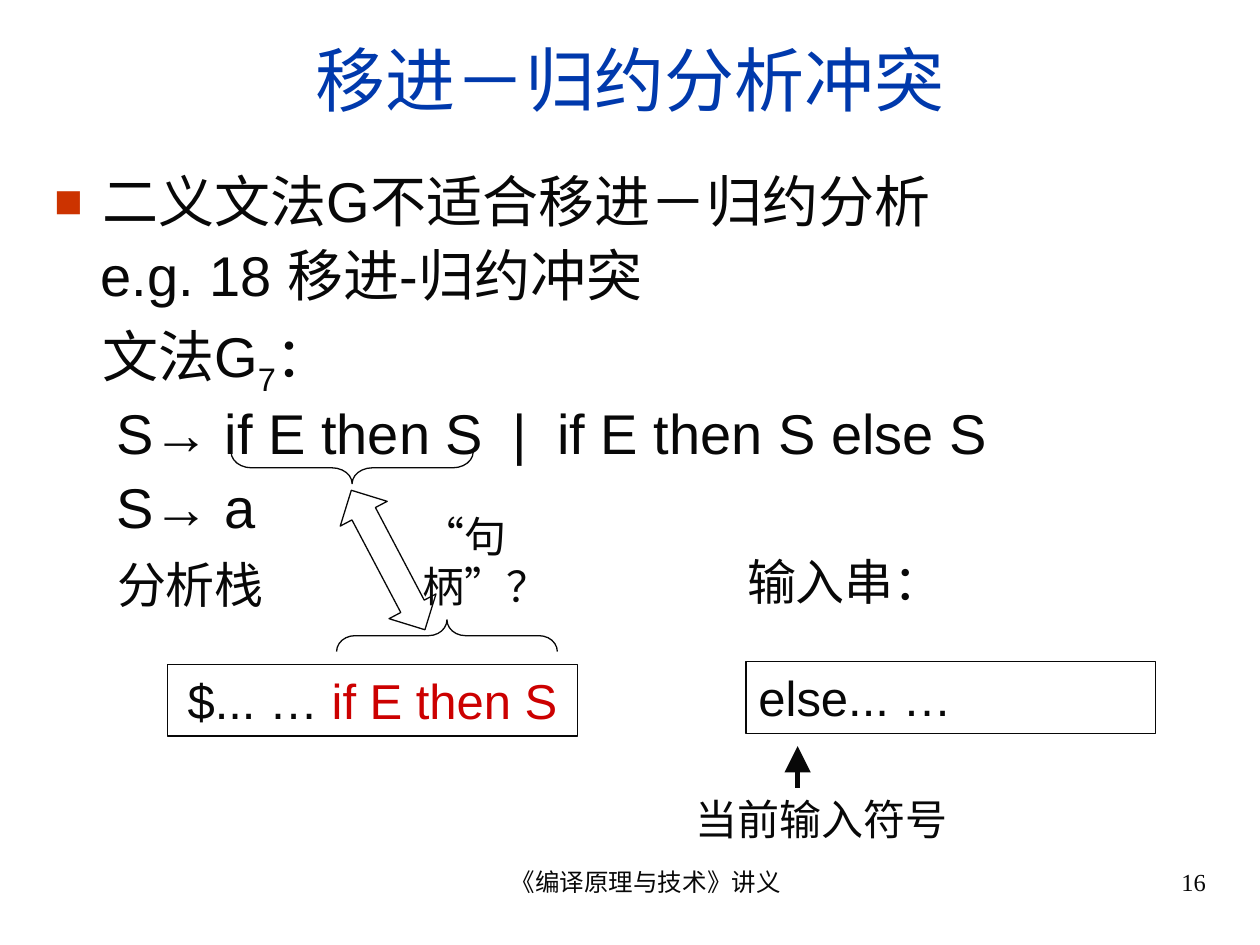
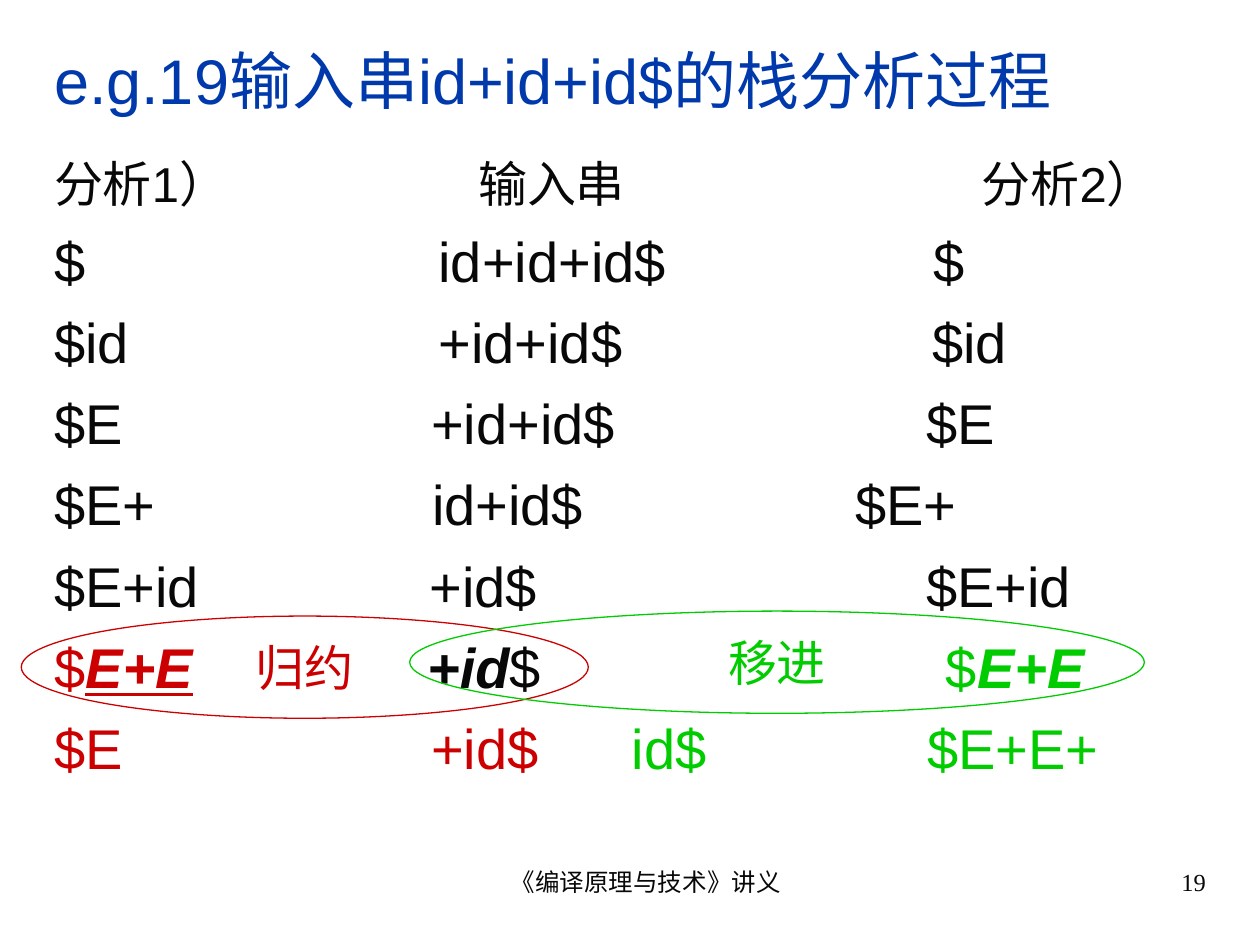
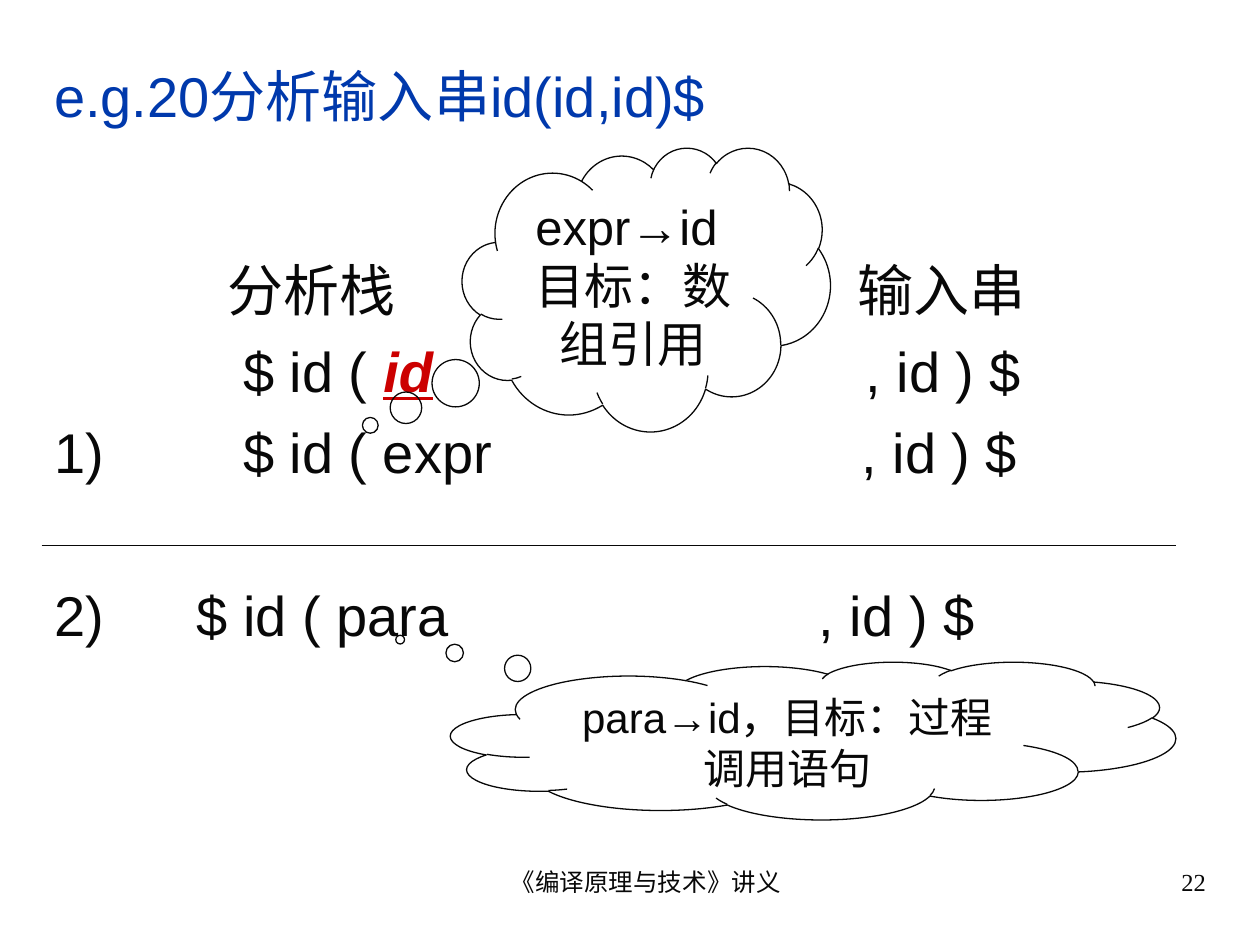
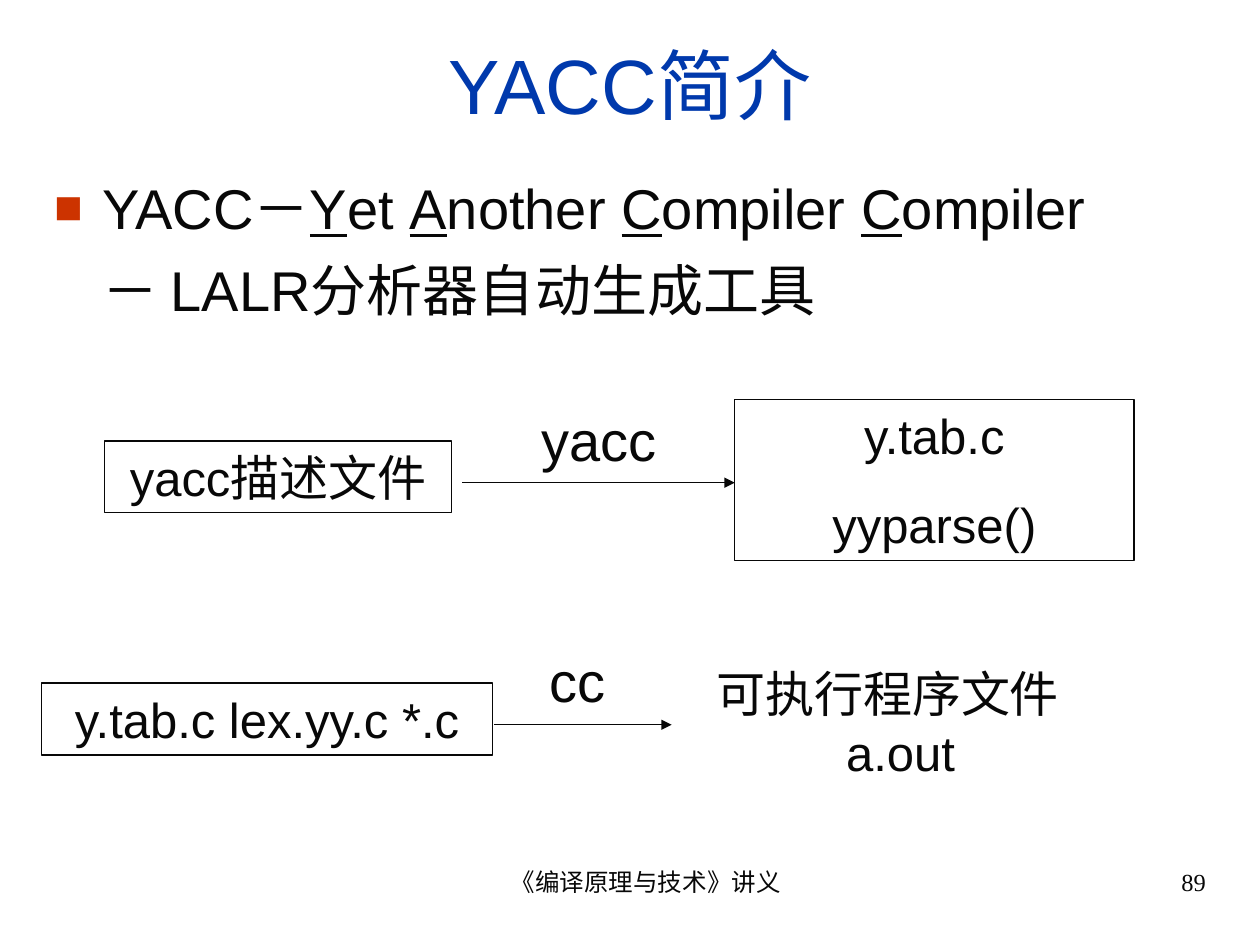
import dataclasses

import lxml.etree
import pptx
import pptx.dml.color
import pptx.enum.shapes
import pptx.enum.text
import pptx.oxml.ns
import pptx.util

Cm = pptx.util.Cm
Pt = pptx.util.Pt
SHAPE = pptx.enum.shapes.MSO_SHAPE
ALIGN = pptx.enum.text.PP_ALIGN
ANCHOR = pptx.enum.text.MSO_ANCHOR
qn = pptx.oxml.ns.qn


@dataclasses.dataclass(frozen=True)
class Theme:
    title: str = "0039AC"
    ink: str = "080808"
    red: str = "CC0000"
    green: str = "00CC00"
    bullet: str = "CC3300"
    font: str = "Arial"
    footer_font: str = "Times New Roman"
    body: int = 32
    label: int = 28
    note: int = 24
    footer: int = 14
    thin: float = 0.75
    thick: float = 3
    left: float = 0.84
    width: float = 23.72
    hang: float = 0.97
    row_gap: float = 8


THEME = Theme()


@dataclasses.dataclass
class Span:
    text: str
    color: str = ""
    strong: bool = False
    underline: bool = False
    subscript: bool = False


@dataclasses.dataclass
class Line:
    """One paragraph; margin, first and tabs are in centimetres, before in points."""
    content: object
    size: float = THEME.body
    color: str = THEME.ink
    align: object = ALIGN.LEFT
    margin: float = 0
    first: float = 0
    tabs: tuple = ()
    bullet: bool = False
    before: float = THEME.row_gap
    spacing: float = 1.0
    font: str = THEME.font


def rgb(value):
    return pptx.dml.color.RGBColor.from_string(value)


def add_child(parent, tag, **attributes):
    return lxml.etree.SubElement(parent, qn(tag), attributes)


def add_bullet(props):
    add_child(add_child(props, "a:buClr"), "a:srgbClr", val=THEME.bullet)
    add_child(props, "a:buSzPct", val="85000")
    add_child(props, "a:buFont", typeface=THEME.font)
    add_child(props, "a:buChar", char="■")


def add_tabs(props, stops):
    tab_list = add_child(props, "a:tabLst")
    for stop in stops:
        add_child(tab_list, "a:tab", pos=str(int(Cm(stop))), algn="l")


def add_span(para, part):
    span = para.add_run()
    span.text = part.text
    if part.color:
        span.font.color.rgb = rgb(part.color)
    if part.strong:
        span.font.bold = span.font.italic = True
    if part.underline:
        span.font.underline = True
    if part.subscript:
        span._r.get_or_add_rPr().set("baseline", "-25000")


def fill_paragraph(para, line):
    props = para._p.get_or_add_pPr()
    # LibreOffice drops tab stops when an indent is written beside them.
    for name, length in (("marL", line.margin), ("indent", line.first)):
        if length:
            props.set(name, str(int(Cm(length))))
    if line.bullet:
        add_bullet(props)
    if line.tabs:
        add_tabs(props, line.tabs)
    para.alignment = line.align
    para.line_spacing = line.spacing
    para.font.name = line.font
    para.font.size = Pt(line.size)
    para.font.color.rgb = rgb(line.color)
    parts = [line.content] if isinstance(line.content, str) else line.content
    for part in parts:
        if part == "\n":
            para.add_line_break()
        else:
            add_span(para, Span(part) if isinstance(part, str) else part)


def write(box, lines, anchor=ANCHOR.TOP):
    frame = box.text_frame
    frame.word_wrap = True
    frame.vertical_anchor = anchor
    for index, line in enumerate(lines):
        para = frame.add_paragraph() if index else frame.paragraphs[0]
        fill_paragraph(para, line)
        if index:
            para.space_before = Pt(line.before)


def add_text(page, place, *lines, anchor=ANCHOR.TOP):
    write(page.shapes.add_textbox(*map(Cm, place)), lines, anchor)


def add_outline(page, kind, place, *lines, color=THEME.ink, anchor=ANCHOR.TOP,
                adjust=(), rotation=0):
    """Unfilled preset shape, with text when lines are given."""
    shape = page.shapes.add_shape(kind, *map(Cm, place))
    shape.shadow.inherit = False
    shape.fill.background()
    shape.line.color.rgb = rgb(color)
    shape.line.width = Pt(THEME.thin)
    shape.rotation = rotation
    for index, value in enumerate(adjust):
        shape.adjustments[index] = value
    if lines:
        write(shape, lines, anchor)


def add_line(page, start, end, width=THEME.thin, head="med"):
    """Straight line; head is the arrowhead size, or empty for none."""
    line = page.shapes.add_connector(
        pptx.enum.shapes.MSO_CONNECTOR.STRAIGHT, *map(Cm, start + end))
    line.line.color.rgb = rgb(THEME.ink)
    line.line.width = Pt(width)
    if head:
        add_child(line.line._get_or_add_ln(), "a:tailEnd", type="triangle", w=head, len=head)
    add_child(line._element.spPr, "a:effectLst")


def label(text, size=THEME.label, **options):
    return Line(text, size=size, **options)


def centred(text, size=THEME.label, **options):
    return Line(text, size=size, align=ALIGN.CENTER, **options)


def add_page(deck, title, number, size, top=0.64, height=1.9, align=ALIGN.LEFT):
    """Blank page with the shared title style, footer and page number."""
    page = deck.slides.add_slide(deck.slide_layouts[6])
    add_text(page, (THEME.left, top, THEME.width, height),
             Line(title, size=size, color=THEME.title, align=align), anchor=ANCHOR.MIDDLE)
    footers = (("《编译原理与技术》讲义", 8.69, 8.05, ALIGN.CENTER),
               (str(number), 18.21, 6.35, ALIGN.RIGHT))
    for text, left, width, side in footers:
        add_text(page, (left, 17.35, width, 1.32),
                 Line(text, size=THEME.footer, font=THEME.footer_font, align=side, margin=0.61))
    return page


def add_body(page, top, height, *lines):
    add_text(page, (THEME.left, top, THEME.width, height), *lines)


def bullet_line(content, **options):
    return Line(content, margin=THEME.hang, first=-THEME.hang, bullet=True, **options)


def build_conflict(deck):
    page = add_page(deck, "移进－归约分析冲突", 16, 40, align=ALIGN.CENTER)
    tight = {"spacing": 0.9}
    add_body(page, 3.38, 8.05,
             bullet_line("二义文法G不适合移进－归约分析", **tight),
             Line("e.g. 18 移进-归约冲突", margin=0.94, **tight),
             Line(["文法G", Span("7", subscript=True), "："], margin=THEME.hang, **tight),
             Line("\tS→ if E then S\t|\tif E then S else S", tabs=(1.25, 9.25, 10.15), **tight),
             Line("S→ a", margin=1.25, **tight))
    add_outline(page, SHAPE.RECTANGLE, (3.38, 13.39, 8.26, 1.45),
                centred(["$... … ", Span("if E then S", THEME.red)]))
    add_outline(page, SHAPE.RECTANGLE, (15.04, 13.34, 8.26, 1.45), label("else... …"))
    add_outline(page, SHAPE.LEFT_BRACE, (8.69, 10.59, 0.64, 4.45),
                adjust=(0.58, 0.5), rotation=90)
    add_outline(page, SHAPE.LEFT_BRACE, (6.78, 6.99, 0.64, 4.88),
                adjust=(0.64, 0.5), rotation=270)
    add_text(page, (8.26, 10.16, 4.01, 1.27), label(["“句", "\n", "柄”？"], THEME.note))
    add_text(page, (2.11, 11.05, 6.55, 1.45), label("分析栈"))
    add_text(page, (14.81, 11, 6.55, 1.45), label("输入串："))
    add_line(page, (16.08, 15.88), (16.08, 15.04), THEME.thick, head="lg")
    add_text(page, (13.77, 15.88, 6.15, 1.27), label("当前输入符号", THEME.note))
    add_outline(page, SHAPE.UP_DOWN_ARROW, (7.29, 9.7, 1.07, 3.18),
                adjust=(0.5, 0.6)[::-1], rotation=332.2)


def build_stack_trace(deck):
    page = add_page(deck, "e.g.19输入串id+id+id$的栈分析过程", 19, 36)
    red, green = THEME.red, THEME.green
    steps = (
        ("$\tid+id+id$\t$", (7.75, 17.73)),
        ("$id\t+id+id$\t$id", (7.75, 17.7)),
        ("$E\t+id+id$\t$E", (7.6, 17.58)),
        ("$E+\tid+id$\t$E+", (7.62, 16.15)),
        ("$E+id\t+id$\t$E+id", (7.57, 17.58)),
        ([Span("$", red), Span("E+E", red, strong=True, underline=True), "\t",
          Span("+id", strong=True), "$\t", Span("$", green),
          Span("E+E", green, strong=True)], (7.52, 17.98)),
        ([Span("$E\t+id$\t", red), Span("id$\t$E+E+", green)], (7.6, 11.65, 17.6)),
    )
    add_body(page, 2.97, 13.97,
             label("分析1）\t输入串\t分析2）", tabs=(8.55, 18.7)),
             *(Line(content, tabs=stops) for content, stops in steps))
    for text, color, place in (("归约", red, (0.43, 12.42, 11.43, 2.06)),
                               ("移进", green, (8.26, 12.32, 14.81, 2.06))):
        add_outline(page, SHAPE.OVAL, place, centred(text, color=color),
                    color=color, anchor=ANCHOR.MIDDLE)


def build_array_or_call(deck):
    page = add_page(deck, "e.g.20分析输入串id(id,id)$", 22, 32, top=1.07, height=1.7)
    add_body(page, 5.02, 11.92,
             Line("\t分析栈\t输入串", tabs=(3.5, 16.2)),
             Line(["\t$ id ( ", Span("id", THEME.red, strong=True, underline=True),
                   "\t, id ) $"], tabs=(3.81, 16.36)),
             Line("1)\t$ id ( expr\t, id ) $", tabs=(3.81, 16.28)),
             Line("2)\t$ id ( para\t, id ) $", tabs=(2.87, 15.42), before=54.4))
    add_line(page, (THEME.left, 11), (23.7, 11), head="")
    add_outline(page, SHAPE.CLOUD_CALLOUT, (9.09, 13.34, 14.61, 3.18),
                centred("para→id，目标：过程调用语句", THEME.note), adjust=(-0.57, -0.64))
    add_outline(page, SHAPE.CLOUD_CALLOUT, (9.32, 2.97, 7.42, 5.72),
                centred(["expr→id ", "\n", "目标：数组引用"]), adjust=(-0.75, 0.48))


def build_yacc(deck):
    page = add_page(deck, "YACC简介", 89, 44, height=2.11, align=ALIGN.CENTER)
    name = ["YACC－"]
    for initial, rest in (("Y", "et "), ("A", "nother "), ("C", "ompiler "), ("C", "ompiler")):
        name += [Span(initial, underline=True), rest]
    add_body(page, 3.38, 13.56, bullet_line(name),
             Line("－ LALR分析器自动生成工具", margin=THEME.hang))
    for place, texts in (((2.11, 8.89, 6.99, 1.45), ["yacc描述文件"]),
                         ((14.81, 8.05, 8.05, 3.25), ["y.tab.c", "yyparse()"]),
                         ((0.84, 13.77, 9.09, 1.45), ["y.tab.c lex.yy.c *.c"])):
        add_outline(page, SHAPE.RECTANGLE, place,
                    *(centred(text, before=17.5) for text in texts))
    for tool, left, top, start, end, level in (("yacc", 9.96, 8.05, 9.32, 14.81, 9.73),
                                               ("cc", 9.53, 12.9, 9.96, 13.54, 14.61)):
        add_line(page, (start, level), (end, level))
        add_text(page, (left, top, 4.24, 1.63), centred(tool, THEME.body))
    add_text(page, (13.54, 13.26, 8.26, 2.64),
             centred("可执行程序文件a.out", margin=THEME.hang, first=-0.52))


def main():
    deck = pptx.Presentation()
    deck.slide_width, deck.slide_height = Cm(25.4), Cm(19.05)
    build_conflict(deck)
    build_stack_trace(deck)
    build_array_or_call(deck)
    build_yacc(deck)
    deck.save("out.pptx")


if __name__ == "__main__":
    main()
